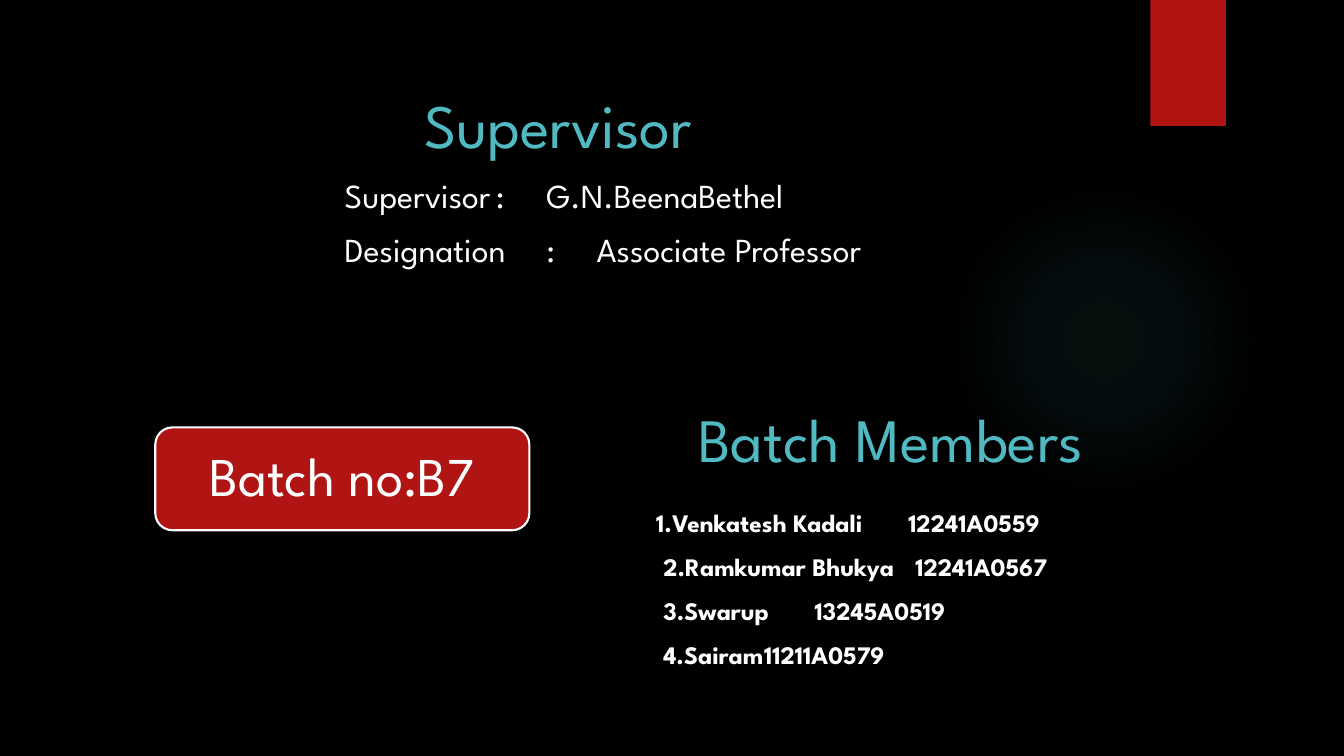
from pptx import Presentation
from pptx.dml.color import RGBColor
from pptx.enum.shapes import MSO_SHAPE
from pptx.enum.text import MSO_ANCHOR, PP_ALIGN
from pptx.oxml import parse_xml
from pptx.oxml.ns import nsdecls
from pptx.util import Inches, Pt

BLACK = RGBColor(0x00, 0x00, 0x00)
WHITE = RGBColor(0xFF, 0xFF, 0xFF)
RED = RGBColor(0xB0, 0x15, 0x13)
TEAL = RGBColor(0x50, 0xB9, 0xC1)
FONT = "League Spartan"

SUPERVISOR_ROWS = [
    ("Supervisor\t:\tG.N.BeenaBethel", (1.5, 2)),
    ("Designation\t:\tAssociate Professor", (2, 2.5)),
]
MEMBER_ROWS = [
    ("1.Venkatesh Kadali\t12241A0559", 0, 3),
    ("2.Ramkumar Bhukya\t12241A0567", 0.07, 2.5),
    ("3.Swarup\t13245A0519", 0.07, 3),
    ("4.Sairam\t11211A0579", 0.07, 3),
]


def add_span(para, text, size, color=WHITE, bold=False):
    span = para.add_run()
    span.text = text
    span.font.name = FONT
    span.font.size = Pt(size)
    span.font.color.rgb = color
    span.font.bold = bold


def format_para(para, indent=0, tabs=()):
    para.space_before = Pt(10)
    properties = para._p.get_or_add_pPr()
    properties.set("marL", str(Inches(indent)))
    properties.set("indent", "0")
    if tabs:
        stops = "".join(f'<a:tab pos="{Inches(tab)}" algn="l"/>' for tab in tabs)
        properties.append(parse_xml(f'<a:tabLst {nsdecls("a")}>{stops}</a:tabLst>'))


def add_frame(page, left, top, width, height):
    box = page.shapes.add_textbox(
        Inches(left), Inches(top), Inches(width), Inches(height))
    box.text_frame.word_wrap = True
    return box.text_frame


def add_plain_shape(page, kind, left, top, width, height):
    shape = page.shapes.add_shape(
        kind, Inches(left), Inches(top), Inches(width), Inches(height))
    shape.shadow.inherit = False
    shape.fill.solid()
    shape.fill.fore_color.rgb = RED
    shape.line.fill.background()
    return shape


def add_glow(page, left, top, size):
    glow = add_plain_shape(page, MSO_SHAPE.OVAL, left, top, size, size)
    stops = "".join(
        f'<a:gs pos="{place * 1000}"><a:srgbClr val="{TEAL}">'
        f'<a:alpha val="{alpha * 1000}"/></a:srgbClr></a:gs>'
        for place, alpha in [(0, 7), (36, 6), (69, 0)])
    gradient = parse_xml(
        f'<a:gradFill {nsdecls("a")} rotWithShape="1"><a:gsLst>{stops}</a:gsLst>'
        '<a:path path="circle"><a:fillToRect l="50000" t="50000" r="50000" b="50000"/>'
        '</a:path></a:gradFill>')
    properties = glow._element.spPr
    properties.replace(properties.find(
        "{http://schemas.openxmlformats.org/drawingml/2006/main}solidFill"), gradient)


def add_supervisor(page, left, top, width, height):
    frame = add_frame(page, left, top, width, height)
    frame.margin_top = Inches(0.49)
    heading = frame.paragraphs[0]
    heading.alignment = PP_ALIGN.LEFT
    format_para(heading, indent=0.79)
    heading.space_before = Pt(0)
    add_span(heading, "Supervisor", 44, TEAL)
    for text, tabs in SUPERVISOR_ROWS:
        para = frame.add_paragraph()
        format_para(para, tabs=tabs)
        add_span(para, text, 24)


def add_members_title(page, left, top, width, height):
    para = add_frame(page, left, top, width, height).paragraphs[0]
    para.alignment = PP_ALIGN.CENTER
    add_span(para, "Batch Members", 44, TEAL)


def add_members(page, left, top, width, height):
    frame = add_frame(page, left, top, width, height)
    for index, (text, indent, tab) in enumerate(MEMBER_ROWS):
        para = frame.add_paragraph() if index else frame.paragraphs[0]
        format_para(para, indent, (tab,))
        add_span(para, text, 18, bold=True)


def add_badge(page, left, top, width, height):
    badge = add_plain_shape(
        page, MSO_SHAPE.ROUNDED_RECTANGLE, left, top, width, height)
    badge.line.color.rgb = WHITE
    badge.line.width = Pt(1.5)
    frame = badge.text_frame
    frame.word_wrap = True
    frame.vertical_anchor = MSO_ANCHOR.MIDDLE
    para = frame.paragraphs[0]
    para.alignment = PP_ALIGN.CENTER
    para.line_spacing = 0.9
    add_span(para, "Batch no:B7", 39)


def main():
    deck = Presentation()
    deck.slide_width = Inches(13.33)
    deck.slide_height = Inches(7.5)
    page = deck.slides.add_slide(deck.slide_layouts[6])
    page.background.fill.solid()
    page.background.fill.fore_color.rgb = BLACK
    add_glow(page, 9.41, 1.83, 3.08)
    add_plain_shape(page, MSO_SHAPE.RECTANGLE, 11.41, 0, 0.75, 1.25)
    add_members_title(page, 4.78, 3.93, 8.11, 0.88)
    add_members(page, 6.41, 4.98, 4.81, 2.12)
    add_supervisor(page, 3.32, 0.37, 5.95, 2.67)
    add_badge(page, 1.54, 4.24, 3.71, 1.02)
    deck.save("out.pptx")


if __name__ == "__main__":
    main()
